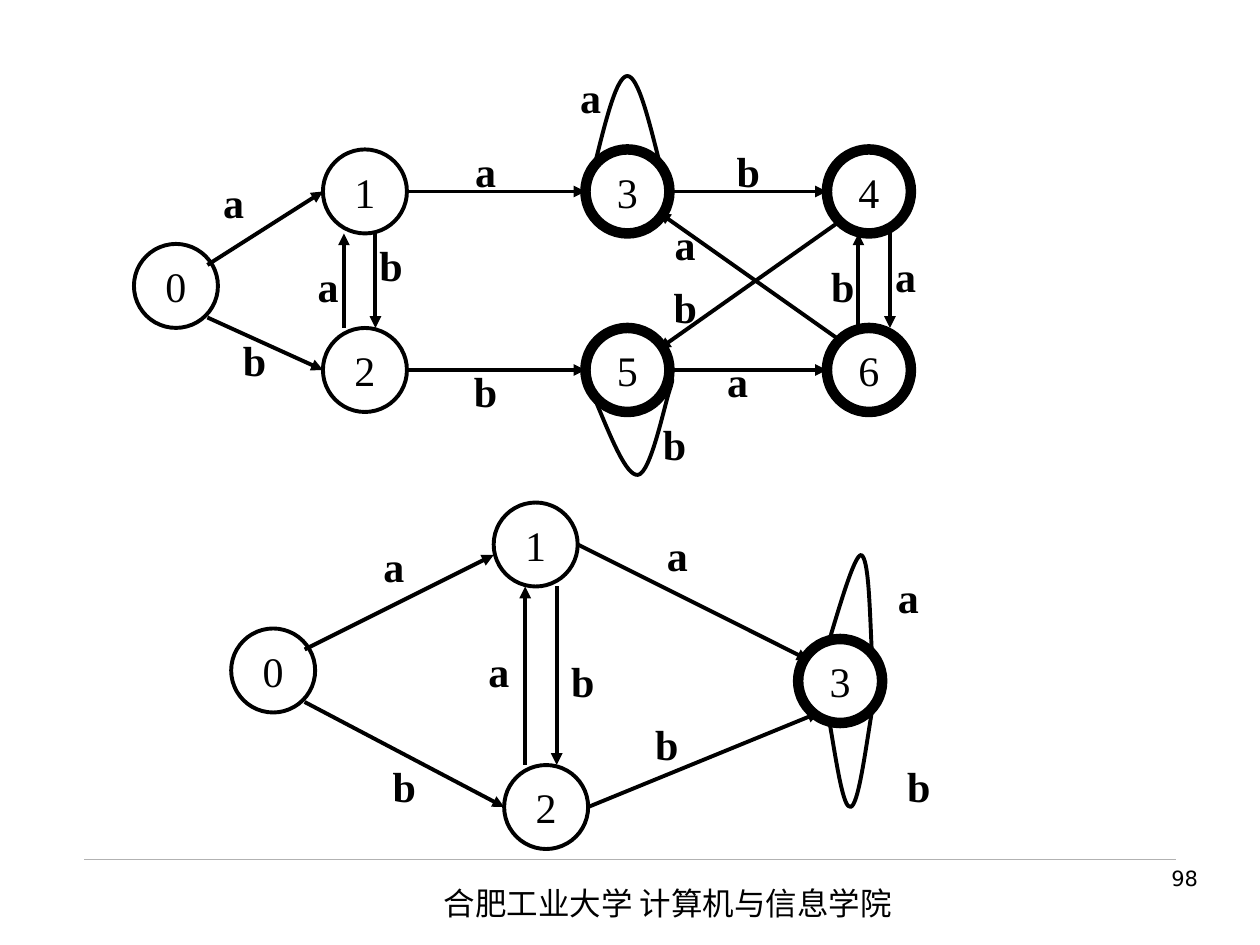
import lxml.etree
import pptx
import pptx.dml.color
import pptx.enum.shapes
import pptx.enum.text
import pptx.oxml.ns
import pptx.util

Cm = pptx.util.Cm
Pt = pptx.util.Pt
ALIGN = pptx.enum.text.PP_ALIGN
ANCHOR = pptx.enum.text.MSO_ANCHOR
qn = pptx.oxml.ns.qn

BLACK = pptx.dml.color.RGBColor(0x00, 0x00, 0x00)
GREY = pptx.dml.color.RGBColor(0xB2, 0xB2, 0xB2)

GRID = Cm(2.54) / 12
STATE_SIZE = 8
LABEL_SIZE = (7, 6)

# States: name, column, row. Arrows: start, end. Labels: text, column, row.
# Loops: start point, then three points for each Bézier segment.
FULL_DFA = {
    "origin": (Cm(2.7), Cm(1.32)),
    "states": [("0", 0, 17), ("1", 18, 8), ("2", 18, 25), ("3", 43, 8),
               ("5", 43, 25), ("4", 66, 8), ("6", 66, 25)],
    "accepting": "3456",
    "arrows": [((7, 19), (18, 12)), ((26, 12), (43, 12)), ((51, 12), (66, 12)),
               ((7, 24), (18, 29)), ((26, 29), (43, 29)), ((51, 29), (66, 29)),
               ((23, 16), (23, 25)), ((20, 25), (20, 16)), ((69, 25), (69, 16)),
               ((72, 16), (72, 25)), ((67, 15), (50, 27)), ((67, 26), (50, 14))],
    "labels": [("a", 6, 10), ("a", 30, 7), ("b", 55, 7), ("b", 8, 25),
               ("b", 30, 28), ("a", 54, 27), ("b", 21, 16), ("a", 15, 18),
               ("a", 70, 17), ("b", 64, 18), ("a", 49, 14), ("b", 49, 20),
               ("a", 40, 0), ("b", 48, 33)],
    "loops": [[(50, 9), (49, 5), (48, 1), (47, 1), (46, 1), (45, 5), (44, 9)],
              [(51, 30), (51.2, 29.8), (51.5, 29.5), (51, 31), (50.5, 32.5),
               (49.2, 38.9), (48, 39), (46.9, 39.1), (45.5, 35.6), (44, 32)]],
}
MINIMAL_DFA = {
    "origin": (Cm(4.66), Cm(10.13)),
    "states": [("0", 0, 12), ("1", 25, 0), ("2", 26, 25), ("3", 54, 13)],
    "accepting": "3",
    "arrows": [((7, 14), (25, 5)), ((33, 4), (55, 15)), ((7, 19), (26, 29)),
               ((31, 8), (31, 25)), ((28, 25), (28, 8)), ((34, 29), (56, 20))],
    "labels": [("a", 12, 3), ("a", 61, 6), ("b", 13, 24), ("b", 62, 24),
               ("b", 30, 14), ("a", 22, 13), ("a", 39, 2), ("b", 38, 20)],
    "loops": [[(61, 14), (60.8, 9.6), (60.7, 5.3), (60, 5), (59.4, 5),
               (58.2, 9), (57, 13)],
              [(61, 20), (60.3, 24.4), (59.7, 28.8), (59, 29), (58.3, 29.2),
               (57.7, 25.1), (57, 21)]],
}


class AutomatonSlide:
    """Draws on one slide; diagram parts go into the current group."""

    symbol_font = "Times New Roman"
    symbol_size = 24
    stroke = 2.25
    accepting_stroke = 6

    def __init__(self, slide):
        self.slide = slide
        self.group = None
        self.origin = (0, 0)

    def at(self, column, row):
        left, top = self.origin
        return round(left + column * GRID), round(top + row * GRID)

    def outline(self, line, width, color=BLACK):
        line.color.rgb = color
        line.width = Pt(width)

    def put_text(self, frame, text, font, size, align, bold=False):
        paragraph = frame.paragraphs[0]
        paragraph.alignment = align
        run = paragraph.add_run()
        run.text = text
        run.font.name = font
        run.font.size = Pt(size)
        run.font.bold = bold
        run.font.color.rgb = BLACK
        east_asian = lxml.etree.SubElement(run._r.get_or_add_rPr(), qn("a:ea"))
        east_asian.set("typeface", font)

    def symbol(self, frame, text, bold=False):
        frame.word_wrap = False
        frame.vertical_anchor = ANCHOR.MIDDLE
        self.put_text(frame, text, self.symbol_font, self.symbol_size,
                      ALIGN.CENTER, bold)

    def state(self, name, column, row, accepting):
        size = round(STATE_SIZE * GRID)
        circle = self.group.shapes.add_shape(
            pptx.enum.shapes.MSO_SHAPE.OVAL, *self.at(column, row), size, size)
        circle.shadow.inherit = False
        circle.fill.background()
        self.outline(circle.line, self.accepting_stroke if accepting else self.stroke)
        self.symbol(circle.text_frame, name)

    def label(self, text, column, row):
        width, height = (round(side * GRID) for side in LABEL_SIZE)
        box = self.group.shapes.add_textbox(*self.at(column, row), width, height)
        self.symbol(box.text_frame, text, bold=True)

    def straight(self, shapes, start, end, width, color=BLACK):
        connector = shapes.add_connector(
            pptx.enum.shapes.MSO_CONNECTOR.STRAIGHT, *start, *end)
        self.outline(connector.line, width, color)
        lxml.etree.SubElement(connector._element.spPr, qn("a:effectLst"))
        return connector

    def arrow(self, start, end):
        connector = self.straight(
            self.group.shapes, self.at(*start), self.at(*end), self.stroke)
        head = lxml.etree.SubElement(connector.line._get_or_add_ln(), qn("a:tailEnd"))
        head.set("type", "triangle")

    def loop(self, points):
        """Draw a Bézier curve: each three line steps become one cubic segment."""
        start, *rest = [self.at(*point) for point in points]
        builder = self.group.shapes.build_freeform(*start)
        builder.add_line_segments(rest, close=False)
        curve = builder.convert_to_shape()
        curve.shadow.inherit = False
        curve.fill.background()
        self.outline(curve.line, self.stroke)
        contour = next(curve._element.iter(qn("a:path")))
        steps = contour.findall(qn("a:lnTo"))
        for first in range(0, len(steps), 3):
            cubic = lxml.etree.SubElement(contour, qn("a:cubicBezTo"))
            for step in steps[first:first + 3]:
                cubic.append(step[0])
                contour.remove(step)

    def automaton(self, diagram):
        self.group = self.slide.shapes.add_group_shape()
        self.origin = diagram["origin"]
        for name, column, row in diagram["states"]:
            self.state(name, column, row, name in diagram["accepting"])
        for start, end in diagram["arrows"]:
            self.arrow(start, end)
        for label in diagram["labels"]:
            self.label(*label)
        for points in diagram["loops"]:
            self.loop(points)

    def rule(self, left, right, top):
        self.straight(self.slide.shapes, (left, top), (right, top), 0.25, GREY)

    def footer(self, text, left, top, width, height, font, size, align):
        box = self.slide.shapes.add_textbox(left, top, width, height)
        box.text_frame.word_wrap = True
        self.put_text(box.text_frame, text, font, size, align)


def main():
    deck = pptx.Presentation()
    deck.slide_width, deck.slide_height = Cm(25.4), Cm(19.05)
    page = AutomatonSlide(deck.slides.add_slide(deck.slide_layouts[6]))
    page.rule(Cm(1.7), Cm(23.7), Cm(17.32))
    page.footer("合肥工业大学 计算机与信息学院", Cm(8.7), Cm(17.7), Cm(12), Cm(1.02),
                "Noto Sans CJK SC", 18, ALIGN.LEFT)
    page.footer("98", Cm(18.9), Cm(17.32), Cm(5.5), Cm(1.32),
                "DejaVu Sans", 12, ALIGN.RIGHT)
    page.automaton(FULL_DFA)
    page.automaton(MINIMAL_DFA)
    deck.save("out.pptx")


if __name__ == "__main__":
    main()
